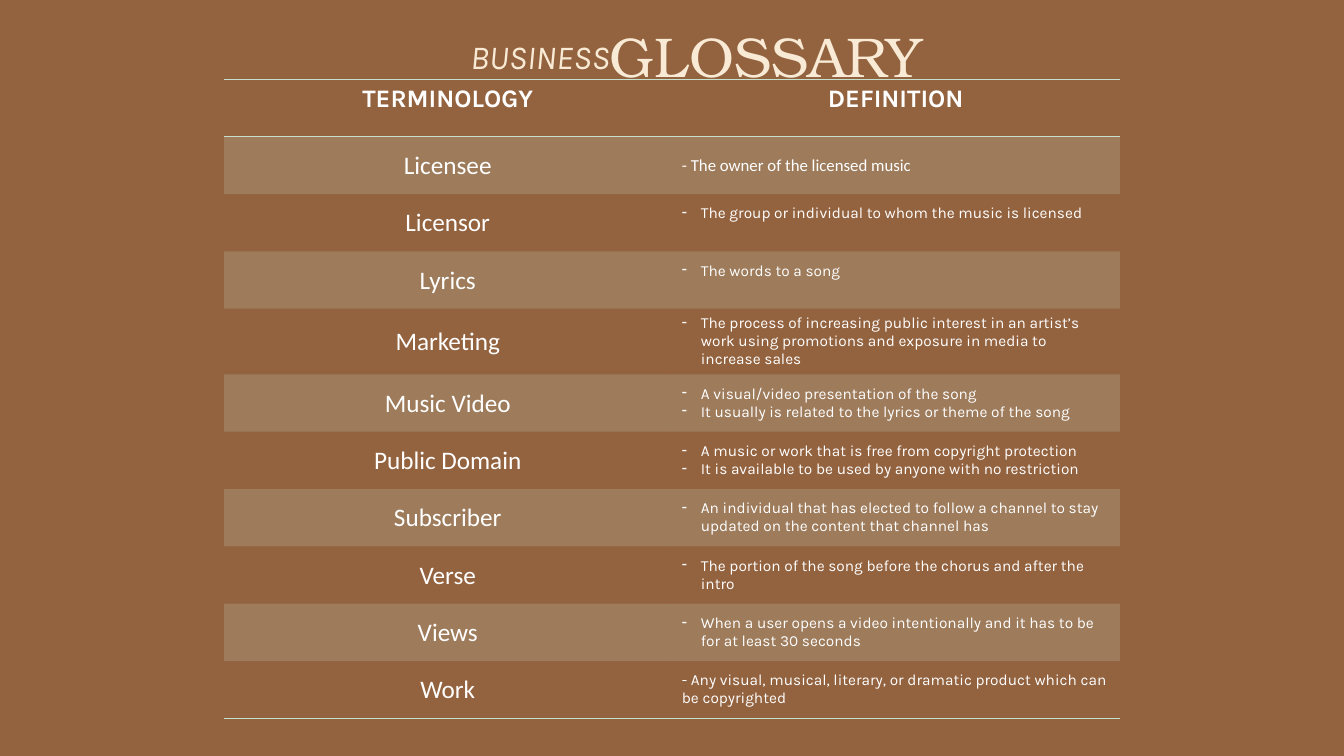
from lxml.etree import SubElement
from pptx import Presentation
from pptx.dml.color import RGBColor
from pptx.enum.text import MSO_ANCHOR as Anchor, PP_ALIGN as Align
from pptx.oxml.ns import qn
from pptx.util import Cm, Pt

BROWN = RGBColor(0x93, 0x62, 0x3F)
CREAM = RGBColor(0xF8, 0xEA, 0xD4)
MINT = RGBColor(0xC5, 0xE0, 0xCF)
WHITE = RGBColor(0xFF, 0xFF, 0xFF)
SANS, PLAIN, SERIF = "Karla", "Calibri", "TeX Gyre Bonum"
NO_STYLE = "{2D5ABB26-0587-4C30-8999-92F81FD0307C}"
HEADINGS = ["TERMINOLOGY", "DEFINITION"]
GLOSSARY = [
    ("Licensee", ["- The owner of the licensed music"]),
    ("Licensor", ["The group or individual to whom the music is licensed"]),
    ("Lyrics", ["The words to a song"]),
    ("Marketing", ["The process of increasing public interest in an artist’s work "
                   "using promotions and exposure in media to increase sales"]),
    ("Music Video", ["A visual/video presentation of the song",
                     "It usually is related to the lyrics or theme of the song"]),
    ("Public Domain", ["A music or work that is free from copyright protection",
                       "It is available to be used by anyone with no restriction"]),
    ("Subscriber", ["An individual that has elected to follow a channel to stay "
                    "updated on the content that channel has"]),
    ("Verse", ["The portion of the song before the chorus and after the intro"]),
    ("Views", ["When a user opens a video intentionally and it has to be "
               "for at least 30 seconds"]),
    ("Work", ["- Any visual, musical, literary, or dramatic product which "
              "can be copyrighted"]),
]
RAISED_TERMS = {"Licensor", "Lyrics"}


def write(para, text, font=SANS, size=18, color=WHITE, bold=False, italic=False,
          align=Align.LEFT, spacing=None, bullet=None):
    para.alignment = align
    if spacing:
        para.line_spacing = spacing
    if bullet:
        props = para._p.get_or_add_pPr()
        props.set("marL", str(Cm(0.48)))
        props.set("indent", str(-Cm(0.48)))
        SubElement(props, qn("a:buChar"), char=bullet)
    span = para.add_run()
    span.text = text
    span.font.name, span.font.size = font, Pt(size)
    span.font.bold, span.font.italic = bold, italic
    span.font.color.rgb = color


def shade(cell, filled):
    if not filled:
        cell.fill.background()
        return
    cell.fill.solid()
    cell.fill.fore_color.rgb = MINT
    tint = cell._tc.tcPr.find(".//" + qn("a:srgbClr"))
    SubElement(tint, qn("a:alpha"), val="20000")


def rule_edges(cell, *edges):
    props = cell._tc.get_or_add_tcPr()
    for position, edge in enumerate(edges):
        line = SubElement(props, qn("a:" + edge), w=str(Pt(1)))
        fill = SubElement(line, qn("a:solidFill"))
        SubElement(fill, qn("a:srgbClr"), val=str(MINT))
        props.insert(position, line)


def place(box, left, top, width, height):
    box.left, box.top, box.width, box.height = left, top, width, height
    frame = box.text_frame
    frame.margin_left = frame.margin_right = 0
    frame.margin_top = frame.margin_bottom = 0
    frame.vertical_anchor = Anchor.MIDDLE
    frame.word_wrap = True
    return frame.paragraphs[0]


def add_heading(page, left, top, width, height):
    split = Cm(4.04)
    kicker = page.shapes.add_textbox(left, top, split, height)
    write(place(kicker, left, top + Cm(0.3), split, Cm(1.02)), "BUSINESS",
          size=24, color=CREAM, italic=True, align=Align.RIGHT, spacing=0.9)
    write(place(page.shapes.title, left + split, top, width - split, height),
          "GLOSSARY", font=SERIF, size=40, color=CREAM, spacing=0.9)


def fill_term(cell, term):
    cell.margin_left = cell.margin_right = cell.margin_top = Cm(0.03)
    cell.margin_bottom = 0
    write(cell.text_frame.paragraphs[0], term, font=PLAIN, align=Align.CENTER)


def fill_definition(cell, term, lines):
    if term in RAISED_TERMS:
        cell.margin_bottom = Cm(0.58)
    font, size = (PLAIN, 12) if term == "Licensee" else (SANS, 11)
    frame = cell.text_frame
    for number, text in enumerate(lines):
        para = frame.add_paragraph() if number else frame.paragraphs[0]
        write(para, text, font=font, size=size,
              bullet=None if text.startswith("-") else "-")


def add_glossary(page, left, top, width, height):
    rows = len(GLOSSARY) + 1
    table = page.shapes.add_table(rows, 2, left, top, width, height).table
    table.first_row = table.horz_banding = False
    table._tbl.tblPr.find(qn("a:tableStyleId")).text = NO_STYLE
    for column, heading in enumerate(HEADINGS):
        cell = table.cell(0, column)
        write(cell.text_frame.paragraphs[0], heading, bold=True, align=Align.CENTER)
        shade(cell, False)
        rule_edges(cell, "lnT", "lnB")
    for row, (term, lines) in enumerate(GLOSSARY, 1):
        term_cell, definition_cell = table.cell(row, 0), table.cell(row, 1)
        fill_term(term_cell, term)
        fill_definition(definition_cell, term, lines)
        for cell in (term_cell, definition_cell):
            cell.vertical_anchor = Anchor.MIDDLE
            shade(cell, row % 2 == 1)
            if row == rows - 1:
                rule_edges(cell, "lnB")


def main():
    deck = Presentation()
    deck.slide_width, deck.slide_height = Cm(33.87), Cm(19.05)
    page = deck.slides.add_slide(deck.slide_layouts[5])
    page.background.fill.solid()
    page.background.fill.fore_color.rgb = BROWN
    add_heading(page, Cm(11.33), Cm(0.66), Cm(12.55), Cm(1.65))
    add_glossary(page, Cm(5.64), Cm(2), Cm(22.58), Cm(15.9))
    deck.save("out.pptx")


if __name__ == "__main__":
    main()
